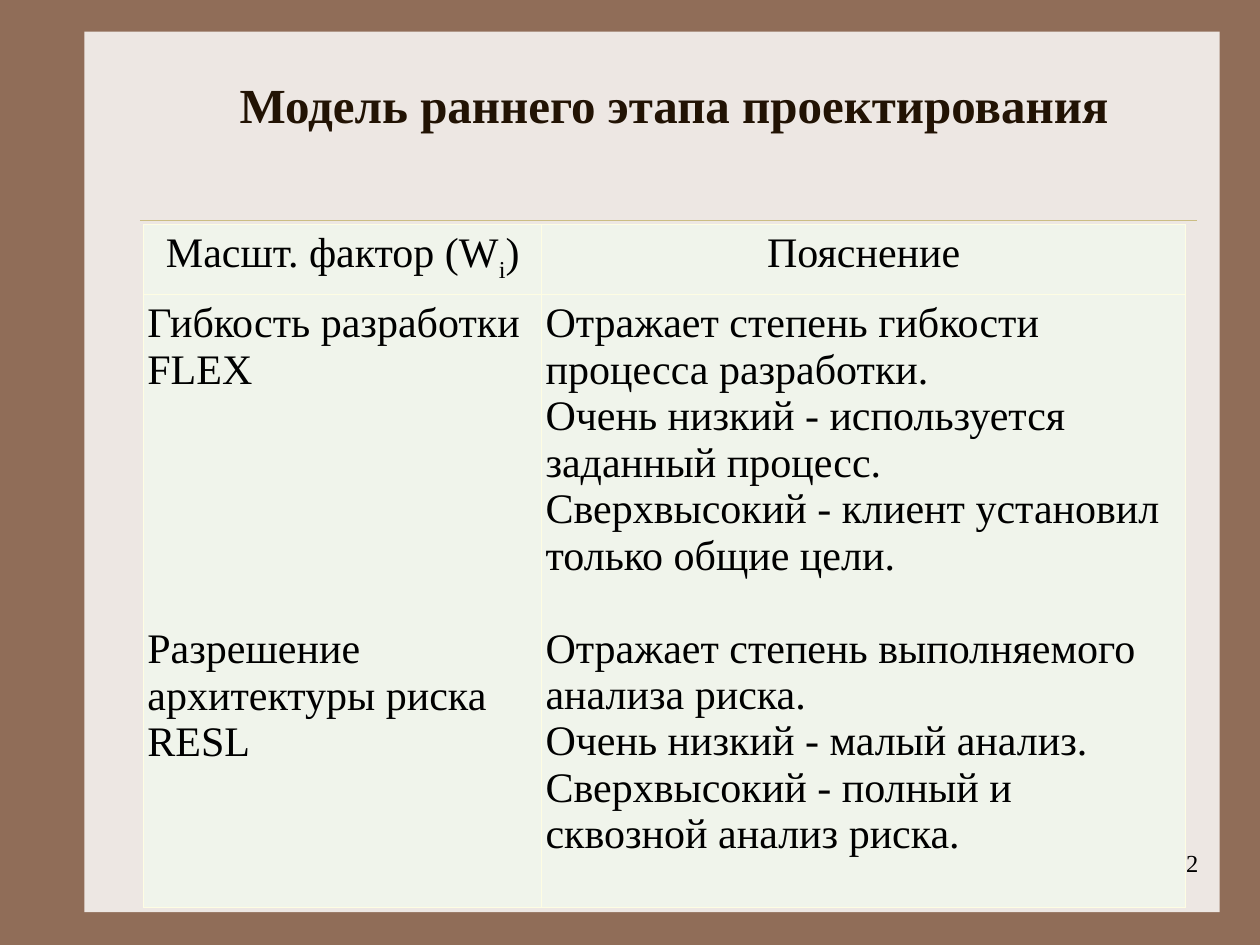
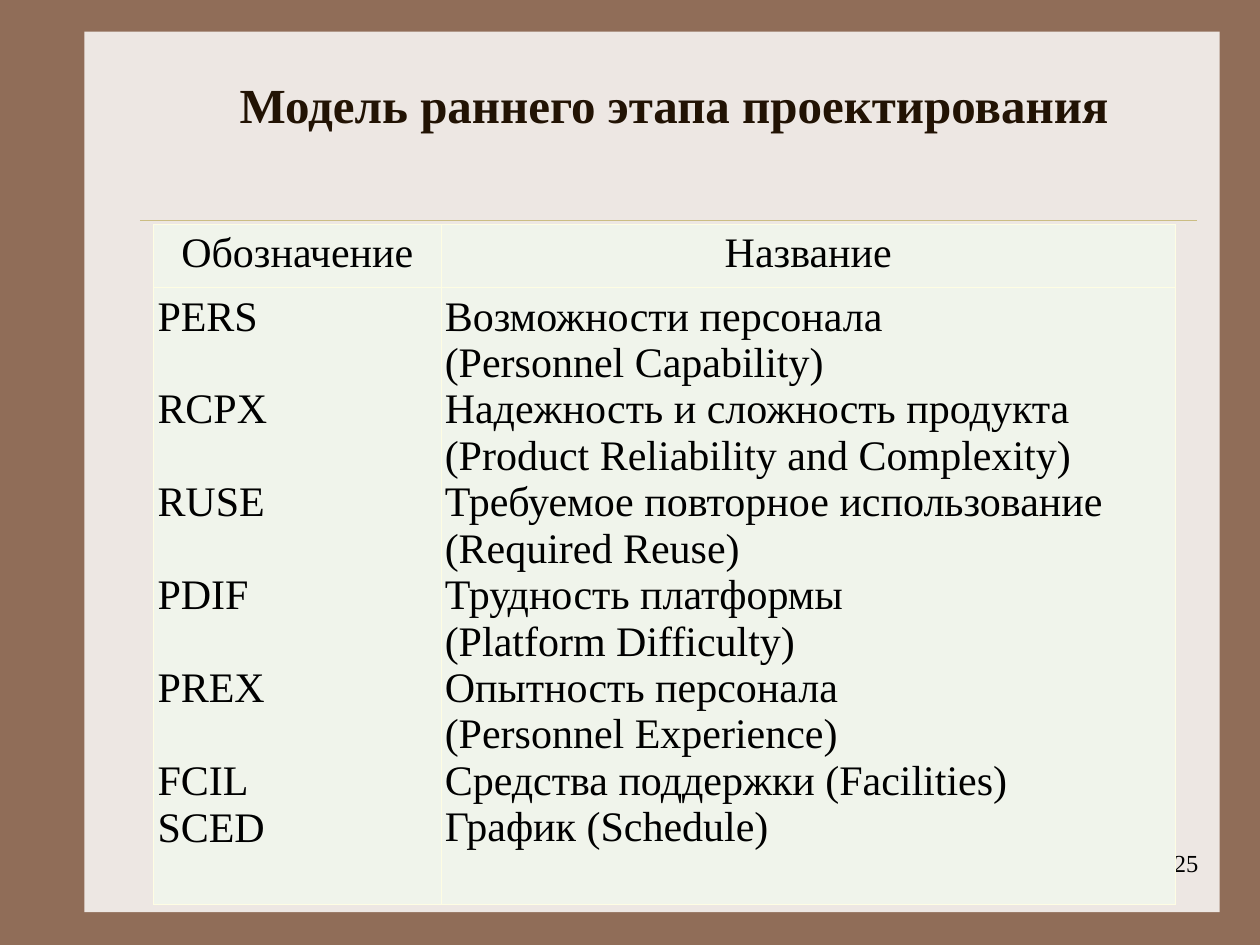
from dataclasses import dataclass

from lxml import etree
from pptx import Presentation
from pptx import util as u
from pptx.dml.color import RGBColor
from pptx.enum import shapes, text
from pptx.oxml import ns

PX = 9144  # 100 px to the inch


@dataclass(frozen=True)
class Theme:
    frame: RGBColor = RGBColor.from_string("906D58")
    panel: RGBColor = RGBColor.from_string("EDE7E3")
    rule: RGBColor = RGBColor.from_string("CBBD83")
    title: RGBColor = RGBColor.from_string("221304")
    ink: RGBColor = RGBColor.from_string("000000")
    cell: RGBColor = RGBColor.from_string("F0F4EB")
    border: str = "FEFDE3"
    font: str = "Times New Roman"
    title_size: int = 28
    table_size: int = 24
    number_size: int = 14
    line_pitch: float = 26.6


theme = Theme()
TITLE = "Модель раннего этапа проектирования"

# Body cells hold (empty lines above, paragraph) pairs.
PAGES = [
    {
        "number": "22",
        "left": 114,
        "columns": [316, 511],
        "rows": [46, 480],
        "header": ["Масшт. фактор (W_i_)", "Пояснение"],
        "body": [
            [(0, "Гибкость разработки FLEX"), (5, "Разрешение архитектуры риска RESL")],
            [
                (0, "Отражает степень гибкости процесса разработки."),
                (0, "Очень низкий - используется заданный процесс."),
                (0, "Сверхвысокий - клиент установил только общие цели."),
                (1, "Отражает степень выполняемого анализа риска."),
                (0, "Очень низкий - малый анализ. Сверхвысокий - полный и сквозной анализ риска."),
            ],
        ],
    },
    {
        "number": "25",
        "left": 122,
        "columns": [228, 583],
        "rows": [44, 480],
        "header": ["Обозначение", "Название"],
        "body": [
            [(0, "PERS"), (1, "RCPX"), (1, "RUSE"), (1, "PDIF"), (1, "PREX"), (1, "FСIL"), (0, "SCED")],
            [(0, line) for line in (
                "Возможности персонала",
                "(Personnel Capability)",
                "Надежность и сложность продукта",
                "(Product Reliability and Complexity)",
                "Требуемое повторное использование",
                "(Required Reuse)",
                "Трудность платформы",
                "(Platform Difficulty)",
                "Опытность персонала",
                "(Personnel Experience)",
                "Средства поддержки (Facilities)",
                "График (Schedule)",
            )],
        ],
    },
]


def write(frame, lines, size, color=theme.ink, bold=False, align=text.PP_ALIGN.LEFT):
    """Fill a frame with (empty lines above, text) pairs; _x_ sets x as a subscript."""
    frame.word_wrap = True
    for index, (gap, line) in enumerate(lines):
        para = frame.paragraphs[0] if index == 0 else frame.add_paragraph()
        para.alignment = align
        para.space_before = u.Pt(gap * theme.line_pitch)
        for part, words in enumerate(line.split("_")):
            span = para.add_run()
            span.text = words
            span.font.name, span.font.size, span.font.bold = theme.font, u.Pt(size), bold
            span.font.color.rgb = color
            if part % 2:
                span.font._element.set("baseline", "-25000")


def style_cell(cell):
    cell.margin_left = cell.margin_right = 3 * PX
    cell.margin_top = cell.margin_bottom = 5 * PX
    properties = cell._tc.get_or_add_tcPr()
    for side in ("a:lnL", "a:lnR", "a:lnT", "a:lnB"):
        line = etree.SubElement(properties, ns.qn(side), w=str(u.Pt(0.45)))
        fill = etree.SubElement(line, ns.qn("a:solidFill"))
        etree.SubElement(fill, ns.qn("a:srgbClr"), val=theme.border)
    cell.fill.solid()
    cell.fill.fore_color.rgb = theme.cell


deck = Presentation()
deck.slide_width, deck.slide_height = 1000 * PX, 750 * PX
layout = deck.slide_layouts.get_by_name("Title Only")
layout.background.fill.solid()
layout.background.fill.fore_color.rgb = theme.frame
heading = layout.placeholders[0]
heading.left, heading.top, heading.width, heading.height = (n * PX for n in (106, 42, 858, 81))
pages = [deck.slides.add_slide(layout) for _ in PAGES]

# The panel and the rule are drawn once, then moved to the shared layout.
panel = pages[0].shapes.add_shape(
    shapes.MSO_SHAPE.RECTANGLE, 67 * PX, 25 * PX, 901 * PX, 699 * PX)
panel.shadow.inherit = False
panel.fill.solid()
panel.fill.fore_color.rgb = theme.panel
panel.line.fill.background()
rule = pages[0].shapes.add_connector(
    shapes.MSO_CONNECTOR.STRAIGHT, 111 * PX, 175 * PX, 950 * PX, 175 * PX)
rule.line.color.rgb = theme.rule
rule.line.width = u.Pt(0.25)
etree.SubElement(rule._element.spPr, ns.qn("a:effectLst"))
for position, shape in enumerate((panel, rule), start=2):
    layout.shapes._spTree.insert(position, shape._element)

for page, content in zip(pages, PAGES):
    title = page.shapes.title.text_frame
    title.vertical_anchor = text.MSO_ANCHOR.MIDDLE
    write(title, [(0, TITLE)], theme.title_size, color=theme.title, bold=True,
          align=text.PP_ALIGN.CENTER)

    number = page.shapes.add_textbox(753 * PX, 668 * PX, 208 * PX, 50 * PX)
    write(number.text_frame, [(0, content["number"])], theme.number_size,
          align=text.PP_ALIGN.RIGHT)

    widths, heights = content["columns"], content["rows"]
    table = page.shapes.add_table(
        2, 2, content["left"] * PX, 178 * PX, sum(widths) * PX, sum(heights) * PX).table
    table.first_row = table.horz_banding = False
    for row, height in zip(table.rows, heights):
        row.height = height * PX
    for index, width in enumerate(widths):
        table.columns[index].width = width * PX
        header, body = table.cell(0, index), table.cell(1, index)
        style_cell(header)
        style_cell(body)
        write(header.text_frame, [(0, content["header"][index])], theme.table_size,
              align=text.PP_ALIGN.CENTER)
        write(body.text_frame, content["body"][index], theme.table_size)

deck.save("out.pptx")
